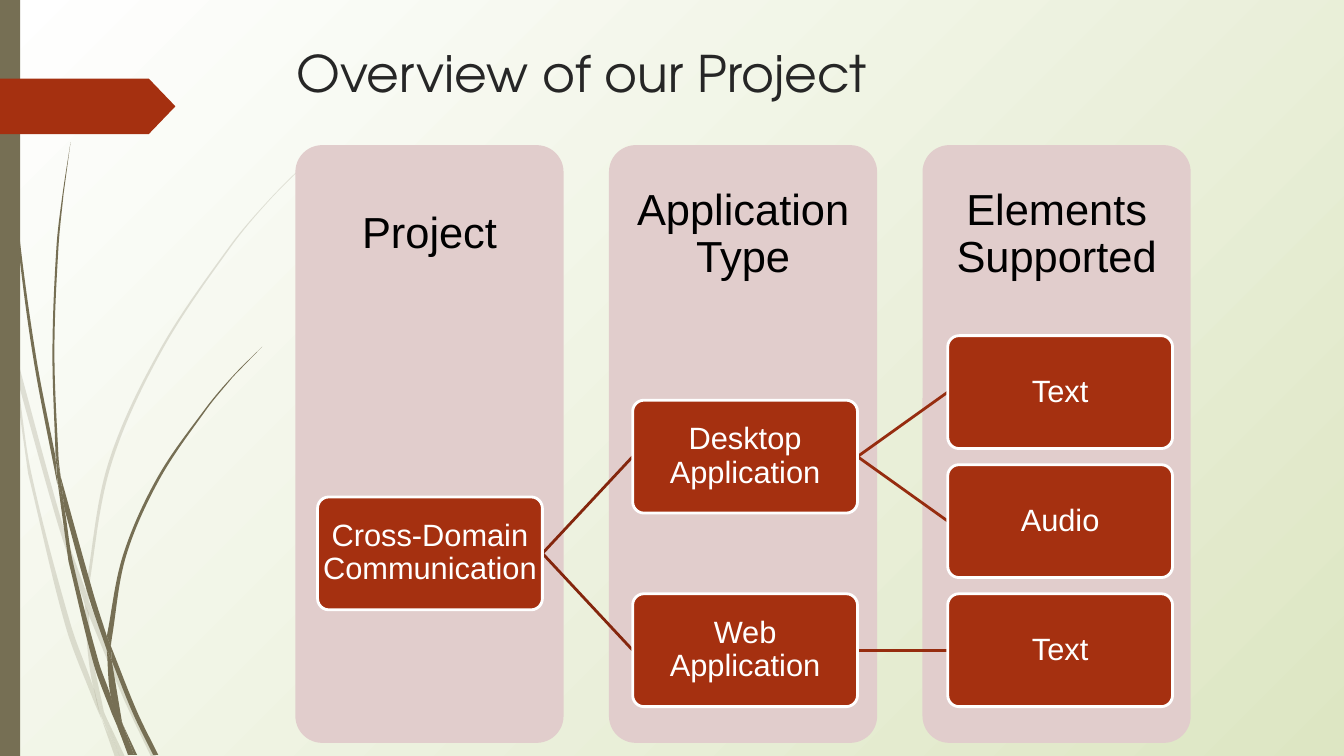
from dataclasses import dataclass
from math import dist

from lxml import etree
from pptx import Presentation
from pptx.dml.color import RGBColor
from pptx.enum.shapes import MSO_CONNECTOR, MSO_SHAPE
from pptx.enum.text import MSO_ANCHOR, MSO_AUTO_SIZE, PP_ALIGN
from pptx.oxml.ns import qn
from pptx.util import Inches, Pt

RECTANGLE, ROUNDED, PENTAGON = MSO_SHAPE.RECTANGLE, MSO_SHAPE.ROUNDED_RECTANGLE, MSO_SHAPE.PENTAGON
STRAIGHT, NO_AUTOFIT = MSO_CONNECTOR.STRAIGHT, MSO_AUTO_SIZE.NONE
TOP, MIDDLE, LEFT, CENTER = MSO_ANCHOR.TOP, MSO_ANCHOR.MIDDLE, PP_ALIGN.LEFT, PP_ALIGN.CENTER


@dataclass(frozen=True)
class Theme:
    """Colours, fonts and type sizes of the slide."""

    background: tuple = ("FFFFFF", "DDE6C3")
    olive: str = "766F54"
    rust: str = "A53010"
    column: str = "E1CDCC"
    links: tuple = ("84260D", "962C0F")
    white: str = "FFFFFF"
    title: tuple = ("TeX Gyre Adventor", 36, "262626")
    heading: tuple = ("Arial", 31, "000000")
    node: tuple = ("Arial", 22, "FFFFFF")
    line_width: int = 2


THEME = Theme()
COLUMN_LEFT, COLUMN_PITCH, COLUMN_TOP = 2.93, 3.11, 1.44
COLUMN_WIDTH, COLUMN_HEIGHT, HEADING_HEIGHT = 2.66, 5.93, 1.78
NODE_LEFT, NODE_PITCH, NODE_TOP, ROW_PITCH = 3.15, 3.125, 3.33, 1.28
NODE_WIDTH, NODE_HEIGHT = 2.23, 1.12

HEADINGS = ("Project", "Application Type", "Elements Supported")
NODES = (
    ("Cross-Domain Communication", 0, 1.25), ("Desktop Application", 1, 0.5),
    ("Web Application", 1, 2), ("Text", 2, 0), ("Audio", 2, 1), ("Text", 2, 2),
)
LINKS = ((0, 1), (0, 2), (1, 3), (1, 4), (2, 5))

PALE_BLADES = (
    (((0.11, 3.5), (0.09, 3.22), (0, 2.82)), ((0, 2.99), (0.1, 3.44))),
    (((0.14, 3.45), (0.62, 5.2), (0.85, 5.86)), ((0.84, 5.99), (0.58, 5.22), (0.17, 3.76))),
    (((0.88, 5.96), (1.27, 6.92), (1.55, 7.51)), ((1.5, 7.51), (1.23, 6.94), (0.88, 6.1))),
    (((1.05, 7.11), (1.24, 7.51)), ((1.19, 7.51),)),
    (((0.11, 3.5), (0.17, 3.76), (0.31, 4.69), (0.7, 6.19), (0.93, 6.83), (0.99, 7.07)),
     ((1.01, 7.14), (0.92, 6.93), (0.65, 6.21), (0.28, 4.7))),
    (((0.84, 5.99), (0.87, 6.46), (0.93, 6.83), (1.05, 7.11)),
     ((1.03, 7.06), (0.91, 6.46), (0.88, 6.08))),
    (((3.12, 1.53), (2.68, 1.97), (2.28, 2.44), (1.58, 3.48), (1.07, 4.61), (0.85, 5.84)),
     ((0.88, 5.96), (0.88, 5.84), (1.1, 4.62), (1.6, 3.49), (2.29, 2.45), (2.68, 1.98), (3.12, 1.54))),
    (((1.01, 7.14), (1.14, 7.51)), ((1.19, 7.51),)),
    (((0.85, 5.86), (0.88, 5.96)), ((0.88, 6.1), (0.84, 5.99))),
    (((0.93, 6.83), (0.99, 7.07), (1.19, 7.51)), ((1.05, 7.11), (0.96, 6.92))),
)
DARK_BLADES = (
    (((0.03, 0), (0.04, 0.48), (0.07, 1.1), (0.17, 2.33), (0.33, 3.55), (0.57, 4.81)),
     ((0.55, 4.53), (0.36, 3.55), (0.19, 2.32), (0.08, 1.09), (0.04, 0))),
    (((0.6, 4.72), (0.93, 5.9), (1.06, 6.31)), ((1.06, 6.45), (0.88, 5.92), (0.64, 5.05))),
    (((1.1, 6.41), (1.36, 7.06), (1.57, 7.49)), ((1.52, 7.49), (1.32, 7.08), (1.11, 6.56))),
    (((0.57, 4.77), (0.64, 5.05), (0.72, 5.56), (0.98, 6.57), (1.1, 6.91), (1.17, 7.22)),
     ((1.11, 7.08), (0.93, 6.59), (0.68, 5.57))),
    (((0.7, 1.41), (0.62, 1.93), (0.56, 2.45), (0.52, 3.49), (0.55, 4.49)),
     ((0.6, 4.72), (0.58, 4.53), (0.54, 3.49), (0.58, 2.45), (0.63, 1.93))),
    (((1.22, 7.19), (1.33, 7.49)), ((1.36, 7.49),)),
    (((0.55, 4.49), (0.6, 4.72)), ((0.64, 5.05), (0.57, 4.77))),
    (((2.6, 3.44), (2.31, 3.73), (2.04, 4.05), (1.56, 4.74), (1.22, 5.51), (1.06, 6.31)),
     ((1.1, 6.41), (1.11, 6.33), (1.25, 5.52), (1.58, 4.76), (2.05, 4.06), (2.31, 3.74))),
    (((1.17, 7.22), (1.27, 7.49)), ((1.31, 7.49),)),
    (((1.06, 6.45), (1.1, 6.91), (1.22, 7.19)), ((1.21, 7.16), (1.11, 6.56))),
    (((1.06, 6.31), (1.1, 6.41)), ((1.11, 6.56), (1.06, 6.45))),
    (((1.1, 6.91), (1.17, 7.22), (1.3, 7.49)), ((1.33, 7.49), (1.22, 7.19))),
)


def color(value):
    """Turn a hex string into a colour."""
    return RGBColor.from_string(value)


def paint_background(page):
    """Fill the page with a gradient that spreads from the top left corner."""
    fill = page.background.fill
    fill.gradient()
    for stop, position, value in zip(fill.gradient_stops, (0, 1), THEME.background):
        stop.position = position
        stop.color.rgb = color(value)
    gradient = next(page.element.iter(qn("a:gradFill")))
    gradient.remove(gradient.find(qn("a:lin")))
    spread = etree.Element(qn("a:path"), path="circle")
    etree.SubElement(spread, qn("a:fillToRect"), r="100000", b="100000")
    gradient.find(qn("a:gsLst")).addnext(spread)


def paint(shape, fill, line=None):
    """Give a shape a flat fill, an optional outline and no shadow."""
    shape.shadow.inherit = False
    shape.fill.solid()
    shape.fill.fore_color.rgb = color(fill)
    if line:
        shape.line.color.rgb = color(line)
        shape.line.width = Pt(THEME.line_width)
    else:
        shape.line.fill.background()


def add_block(page, kind, place, fill, line=None, corner=None):
    """Add a painted preset shape."""
    block = page.shapes.add_shape(kind, *map(Inches, place))
    if corner is not None:
        block.adjustments[0] = corner
    paint(block, fill, line)
    return block


def write(box, text, style, align=CENTER, anchor=MIDDLE, margin=0.0, spacing=0.9):
    """Write one formatted paragraph into a box."""
    frame = box.text_frame
    frame.word_wrap, frame.auto_size, frame.vertical_anchor = True, NO_AUTOFIT, anchor
    frame.margin_left = frame.margin_right = Inches(margin)
    frame.margin_top = frame.margin_bottom = Inches(margin)
    para = frame.paragraphs[0]
    para.alignment, para.line_spacing = align, spacing
    span = para.add_run()
    span.text = text
    span.font.name, size, ink = style
    span.font.size = Pt(size)
    span.font.color.rgb = color(ink)


def bends(side):
    """Return the two curve handles of each segment along a side."""
    slopes = []
    for before, here, after in zip((side[0], *side), side, (*side[1:], side[-1])):
        reach = 3 * (dist(before, here) + dist(here, after)) or 1
        slopes.append([(b - a) / reach for a, b in zip(before, after)])
    pairs = []
    for start, end, leave, arrive in zip(side, side[1:], slopes, slopes[1:]):
        length = dist(start, end)
        pairs.append(([p + s * length for p, s in zip(start, leave)],
                      [p - s * length for p, s in zip(end, arrive)]))
    return pairs


def add_blade(page, sides, alpha=100):
    """Add a piece of grass with two curved sides."""
    points = [(Inches(x), Inches(y)) for side in sides for x, y in side]
    builder = page.shapes.build_freeform(*points[0])
    builder.add_line_segments(points[1:], close=True)
    blade = builder.convert_to_shape()
    paint(blade, THEME.olive)
    steps = list(blade.element.iter(qn("a:lnTo")))
    for step, handles in zip(steps, [*bends(sides[0]), (), *bends(sides[1])]):
        if handles:
            step.tag = qn("a:cubicBezTo")
        for index, (x, y) in enumerate(handles):
            local = {"x": str(Inches(x) - blade.left), "y": str(Inches(y) - blade.top)}
            step.insert(index, etree.Element(qn("a:pt"), local))
    if alpha < 100:
        tint = next(blade.element.spPr.iter(qn("a:srgbClr")))
        etree.SubElement(tint, qn("a:alpha"), val=str(alpha * 1000))


def add_column(page, index, heading):
    """Add a column panel with its heading."""
    place = (COLUMN_LEFT + index * COLUMN_PITCH, COLUMN_TOP, COLUMN_WIDTH)
    add_block(page, ROUNDED, (*place, COLUMN_HEIGHT), THEME.column, corner=0.1)
    box = page.shapes.add_textbox(*map(Inches, (*place, HEADING_HEIGHT)))
    write(box, heading, THEME.heading, margin=0.24)


def node_corner(level, row):
    """Return the left and top of a tree node."""
    return NODE_LEFT + level * NODE_PITCH, NODE_TOP + row * ROW_PITCH


def add_node(page, text, level, row):
    """Add a tree node."""
    place = (*node_corner(level, row), NODE_WIDTH, NODE_HEIGHT)
    write(add_block(page, ROUNDED, place, THEME.rust, THEME.white, 0.1), text, THEME.node)


def add_link(page, parent, child):
    """Join the right side of a parent to the left side of its child."""
    (x1, y1), (x2, y2) = node_corner(*parent[1:]), node_corner(*child[1:])
    ends = (x1 + NODE_WIDTH, y1 + NODE_HEIGHT / 2, x2, y2 + NODE_HEIGHT / 2)
    link = page.shapes.add_connector(STRAIGHT, *map(Inches, ends))
    link.line.color.rgb = color(THEME.links[parent[1]])
    link.line.width = Pt(THEME.line_width)
    etree.SubElement(link.element.spPr, qn("a:effectLst"))


def main():
    """Build the slide and save the deck."""
    deck = Presentation()
    deck.slide_width, deck.slide_height = Inches(13.33), Inches(7.5)
    page = deck.slides.add_slide(deck.slide_layouts[5])
    paint_background(page)
    for blades, alpha in ((PALE_BLADES, 20), (DARK_BLADES, 100)):
        for sides in blades:
            add_blade(page, sides, alpha)
    add_block(page, RECTANGLE, (0, 0, 0.2, 7.5), THEME.olive)
    add_block(page, PENTAGON, (0, 0.78, 1.74, 0.55), THEME.rust, corner=0.48)
    title = page.shapes.title
    title.left, title.top, title.width, title.height = map(Inches, (2.84, 0.32, 9.75, 1.4))
    write(title, "Overview of our Project", THEME.title, LEFT, TOP, 0.1, 1.0)
    for index, heading in enumerate(HEADINGS):
        add_column(page, index, heading)
    for parent, child in LINKS:
        add_link(page, NODES[parent], NODES[child])
    for node in NODES:
        add_node(page, *node)
    deck.save("out.pptx")


if __name__ == "__main__":
    main()
